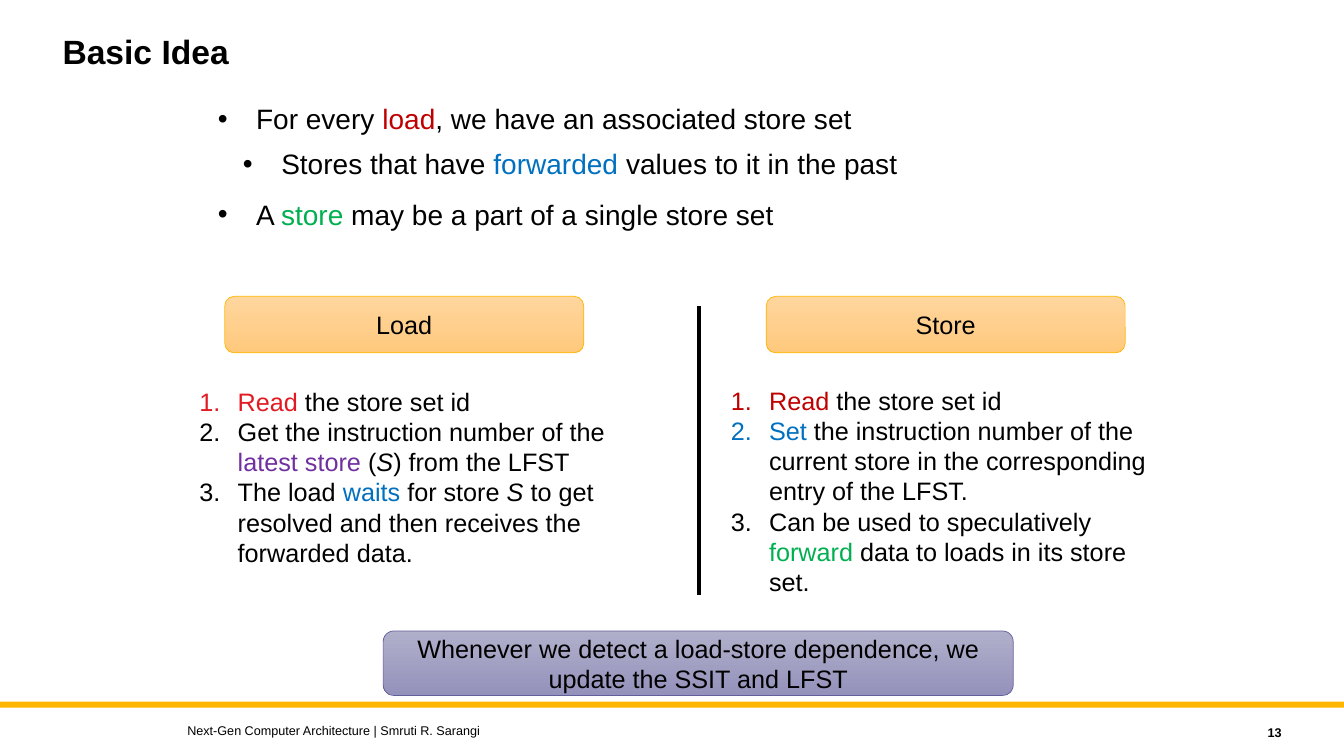
from dataclasses import dataclass

import pptx
import pptx.dml.color
import pptx.enum.shapes
import pptx.enum.text
import pptx.util
from lxml import etree
from pptx.dml.color import RGBColor
from pptx.enum.text import MSO_ANCHOR, PP_ALIGN
from pptx.util import Inches, Pt

BLACK = RGBColor(0x00, 0x00, 0x00)
WHITE = RGBColor(0xFF, 0xFF, 0xFF)
AMBER = RGBColor(0xFF, 0xB6, 0x00)
PEACH_LIGHT = RGBColor(0xFF, 0xD6, 0x9E)
PEACH_DARK = RGBColor(0xFF, 0xC9, 0x7C)
LILAC_LIGHT = RGBColor(0xB0, 0xAF, 0xCA)
LILAC_DARK = RGBColor(0x94, 0x92, 0xBB)
INDIGO = RGBColor(0x62, 0x5D, 0x9C)
SCARLET = RGBColor(0xE2, 0x1A, 0x23)
RED = RGBColor(0xC0, 0x00, 0x00)
BLUE = RGBColor(0x00, 0x70, 0xC0)
GREEN = RGBColor(0x00, 0xB0, 0x50)
PURPLE = RGBColor(0x70, 0x30, 0xA0)

FONT = "Arial"
HANGING = 0.38
A_NS = "http://schemas.openxmlformats.org/drawingml/2006/main"


@dataclass(frozen=True)
class Span:
    text: str
    color: RGBColor = BLACK
    italic: bool = False


@dataclass(frozen=True)
class Item:
    spans: tuple[Span, ...]
    level: int = 0
    space_before: float = 0


@dataclass(frozen=True)
class Box:
    left: float
    top: float
    width: float
    height: float

    def lengths(self) -> tuple[int, ...]:
        return tuple(Inches(v) for v in (self.left, self.top, self.width, self.height))


@dataclass(frozen=True)
class Banner:
    box: Box
    text: str
    light: RGBColor
    dark: RGBColor
    outline: RGBColor


@dataclass(frozen=True)
class Steps:
    box: Box
    items: tuple[Item, ...]


@dataclass(frozen=True)
class Label:
    box: Box
    text: str
    align: PP_ALIGN
    bold: bool


def place(shape, box: Box) -> None:
    shape.left, shape.top, shape.width, shape.height = box.lengths()


def style(paragraph, size: float, bold: bool = False) -> None:
    paragraph.font.name = FONT
    paragraph.font.size = Pt(size)
    paragraph.font.bold = bold
    paragraph.font.color.rgb = BLACK


def fill_list(frame, items: tuple[Item, ...], size: float, numbered: bool) -> None:
    for index, item in enumerate(items):
        paragraph = frame.paragraphs[0] if index == 0 else frame.add_paragraph()
        paragraph.level = item.level
        paragraph.space_before = Pt(item.space_before)
        properties = paragraph._p.get_or_add_pPr()
        properties.set("marL", str(Inches(HANGING + 0.25 * item.level)))
        properties.set("indent", str(-Inches(HANGING)))
        if numbered:
            etree.SubElement(properties, f"{{{A_NS}}}buAutoNum", type="arabicPeriod")
        else:
            etree.SubElement(properties, f"{{{A_NS}}}buFont", typeface=FONT)
            etree.SubElement(properties, f"{{{A_NS}}}buChar", char="•")
        style(paragraph, size)
        for span in item.spans:
            for line_number, line in enumerate(span.text.split("\n")):
                if line_number:
                    paragraph.add_line_break()
                if line:
                    run = paragraph.add_run()
                    run.text = line
                    run.font.color.rgb = span.color
                    if span.italic:
                        run.font.italic = True


def draw_banner(slide, banner: Banner) -> None:
    shape = slide.shapes.add_shape(
        pptx.enum.shapes.MSO_SHAPE.ROUNDED_RECTANGLE, *banner.box.lengths())
    shape.shadow.inherit = False
    shape.fill.gradient()
    shape.fill.gradient_angle = 270
    for stop, color in zip(shape.fill.gradient_stops, (banner.light, banner.dark)):
        stop.color.rgb = color
    shape.line.color.rgb = banner.outline
    shape.line.width = Pt(0.5)
    frame = shape.text_frame
    frame.word_wrap = True
    frame.vertical_anchor = MSO_ANCHOR.MIDDLE
    frame.text = banner.text
    frame.paragraphs[0].alignment = PP_ALIGN.CENTER
    style(frame.paragraphs[0], 18)


def draw_steps(slide, steps: Steps) -> None:
    frame = slide.shapes.add_textbox(*steps.box.lengths()).text_frame
    frame.word_wrap = True
    fill_list(frame, steps.items, 18, numbered=True)


def draw_label(slide, label: Label) -> None:
    frame = slide.shapes.add_textbox(*label.box.lengths()).text_frame
    frame.word_wrap = True
    frame.vertical_anchor = MSO_ANCHOR.MIDDLE
    frame.text = label.text
    frame.paragraphs[0].alignment = label.align
    style(frame.paragraphs[0], 9, label.bold)


IDEAS = (
    Item((Span("For every "), Span("load", RED), Span(", we have an associated store set"))),
    Item((Span("Stores that have "), Span("forwarded", BLUE),
          Span(" values to it in the past")), level=1, space_before=8),
    Item((Span("A "), Span("store", GREEN), Span(" may be a part of a single store set")),
         space_before=12),
)
STEP_LISTS = (
    Steps(Box(1.88, 3.78, 4.34, 1.92), (
        Item((Span("Read", SCARLET), Span(" the store set id"))),
        Item((Span("Get the instruction number of the "), Span("latest store", PURPLE),
              Span(" ("), Span("S", italic=True), Span(") from the LFST"))),
        Item((Span("The load "), Span("waits", BLUE), Span(" for store "), Span("S", italic=True),
              Span(" to get resolved and then receives the forwarded data."))),
    )),
    Steps(Box(7.15, 3.77, 4.34, 2.22), (
        Item((Span("Read", RED), Span(" the store set id"))),
        Item((Span("Set", BLUE), Span(" the instruction number of the\ncurrent store in the "
                                      "corresponding\nentry of the LFST."))),
        Item((Span("Can be used to speculatively\n"), Span("forward", GREEN),
              Span(" data to loads in its store \nset."))),
    )),
)
BANNERS = (
    Banner(Box(2.23, 2.94, 3.56, 0.56), "Load", PEACH_LIGHT, PEACH_DARK, AMBER),
    Banner(Box(7.6, 2.94, 3.56, 0.56), "Store", PEACH_LIGHT, PEACH_DARK, AMBER),
    Banner(Box(3.8, 6.26, 6.25, 0.64),
           "Whenever we detect a load-store dependence, we update the SSIT and LFST",
           LILAC_LIGHT, LILAC_DARK, INDIGO),
)
LABELS = (
    Label(Box(1.76, 7.12, 8, 0.25), "Next-Gen Computer Architecture | Smruti R. Sarangi",
          PP_ALIGN.LEFT, False),
    Label(Box(11.41, 7.14, 1.4, 0.25), "13", PP_ALIGN.RIGHT, True),
)


def main() -> None:
    deck = pptx.Presentation()
    deck.slide_width, deck.slide_height = Inches(13.33), Inches(7.5)
    slide = deck.slides.add_slide(deck.slide_layouts[1])
    slide.background.fill.solid()
    slide.background.fill.fore_color.rgb = WHITE

    # Title and main points
    title, ideas = slide.shapes.title, slide.placeholders[1]
    place(title, Box(0.52, 0.3, 10, 0.9))
    title.text_frame.text = "Basic Idea"
    heading = title.text_frame.paragraphs[0]
    heading.alignment = PP_ALIGN.LEFT
    heading.line_spacing = 0.9
    style(heading, 24, bold=True)
    place(ideas, Box(2.06, 0.96, 8.99, 1.76))
    fill_list(ideas.text_frame, IDEAS, 20, numbered=False)
    for placeholder in (title, ideas):
        placeholder.text_frame.vertical_anchor = MSO_ANCHOR.TOP
        placeholder.text_frame.auto_size = pptx.enum.text.MSO_AUTO_SIZE.NONE

    # Footer
    footer_rule = slide.shapes.add_shape(
        pptx.enum.shapes.MSO_SHAPE.RECTANGLE, *Box(0, 6.96, 13.33, 0.06).lengths())
    footer_rule.shadow.inherit = False
    footer_rule.fill.solid()
    footer_rule.fill.fore_color.rgb = AMBER
    footer_rule.line.fill.background()
    for label in LABELS:
        draw_label(slide, label)

    # Load and store columns with the closing remark
    for banner in BANNERS:
        draw_banner(slide, banner)
    for steps in STEP_LISTS:
        draw_steps(slide, steps)
    divider = slide.shapes.add_connector(
        pptx.enum.shapes.MSO_CONNECTOR.STRAIGHT,
        Inches(6.93), Inches(3.04), Inches(6.93), Inches(5.9))
    divider.line.color.rgb = BLACK
    divider.line.width = Pt(3)
    etree.SubElement(divider._element.spPr, f"{{{A_NS}}}effectLst")

    deck.save("out.pptx")


if __name__ == "__main__":
    main()
